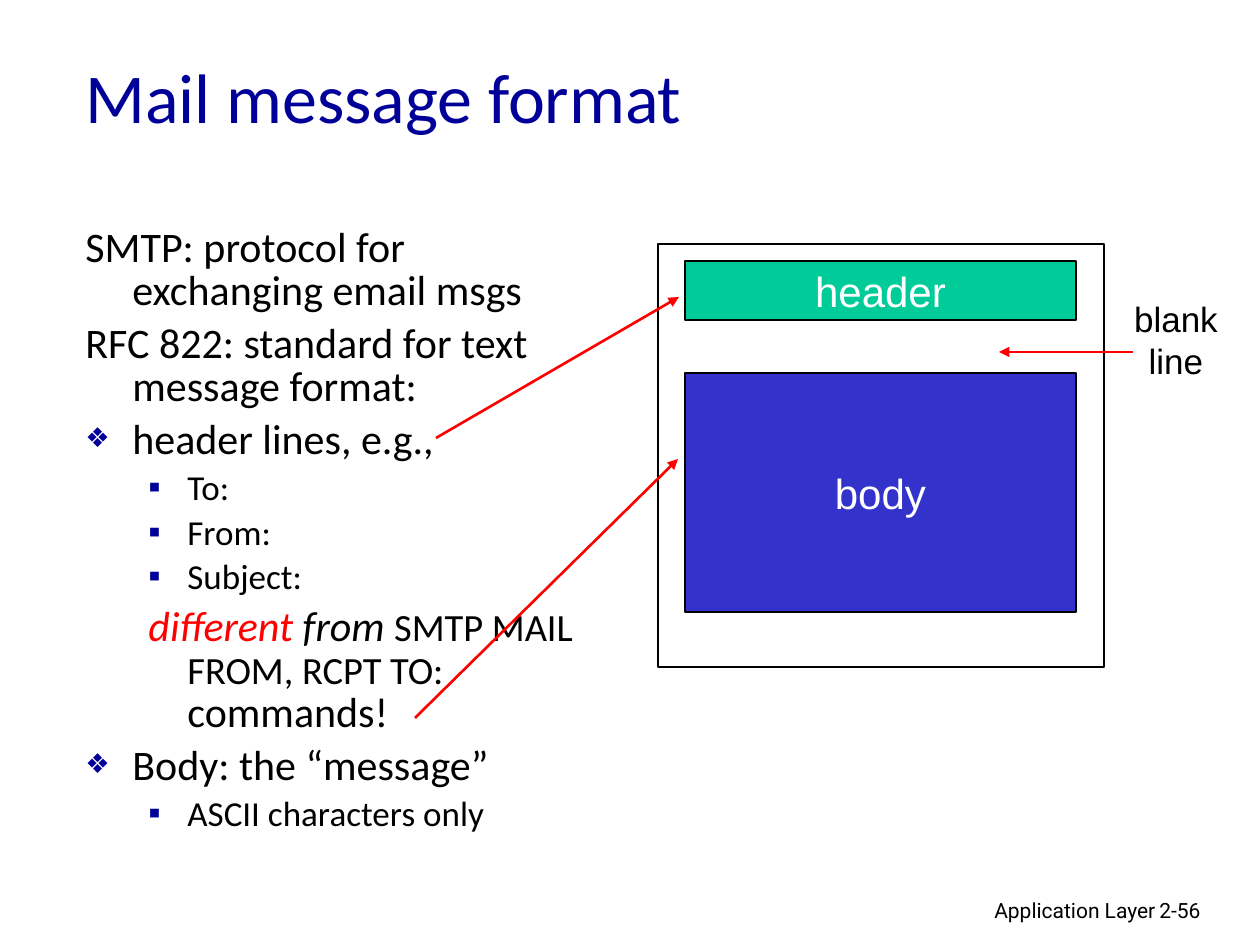
from lxml.etree import SubElement
from pptx import Presentation
from pptx.dml.color import RGBColor
from pptx.enum.shapes import MSO_CONNECTOR, MSO_SHAPE
from pptx.enum.text import MSO_ANCHOR, MSO_AUTO_SIZE, PP_ALIGN
from pptx.oxml.ns import qn
from pptx.util import Pt

EMU_PER_PX = 914400 / 126
BLACK, WHITE, RED, NAVY = "000000", "FFFFFF", "FF0000", "000099"
TOPIC = dict(size=24, margin=47, indent=-47, before=6)
BULLET = dict(TOPIC, bullet="❖", bullet_size=65)
ITEM = dict(size=20, margin=102, indent=-39, before=5, level=1, bullet="▪")
NOTE = dict(ITEM, size=24, before=6, bullet=None)
OUTLINE = [
    ("SMTP: protocol for exchanging email msgs", TOPIC),
    ("RFC 822: standard for text message format:", TOPIC),
    ("header lines, e.g.,", BULLET),
    ("To:", ITEM),
    ("From:", ITEM),
    ("Subject:", ITEM),
    ([("different ", 24, RED, True), ("from ", 24, BLACK, True),
      ("SMTP MAIL FROM, RCPT TO:", 22, BLACK, False),
      (" commands!", 24, BLACK, False)], NOTE),
    ("Body: the “message”", BULLET),
    ("ASCII characters only", ITEM),
]


def px(n):
    """Turn pixels into EMU."""
    return round(n * EMU_PER_PX)


def rgb(color):
    """Turn a hex string into a colour."""
    return RGBColor.from_string(color)


def style(r, size, font, color, italic=False):
    """Format one run."""
    r.font.size = Pt(size)
    r.font.name = font
    r.font.italic = italic
    r.font.color.rgb = rgb(color)


def fill_text(tf, text, size, font, color, align=PP_ALIGN.LEFT):
    """Write text in one style, a paragraph for each line."""
    tf.text = text
    for p in tf.paragraphs:
        p.alignment = align
        for r in p.runs:
            style(r, size, font, color)


def add_text(s, box, text, size, font, color, align=PP_ALIGN.LEFT,
             anchor=MSO_ANCHOR.TOP, grow=False):
    """Add a text box in one style, growing instead of wrapping if asked."""
    tf = s.shapes.add_textbox(*map(px, box)).text_frame
    tf.word_wrap = not grow
    if grow:
        tf.auto_size = MSO_AUTO_SIZE.SHAPE_TO_FIT_TEXT
    tf.vertical_anchor = anchor
    fill_text(tf, text, size, font, color, align)


def add_bullet(p, char, size):
    """Give a paragraph a coloured bullet."""
    pPr = p._p.get_or_add_pPr()
    SubElement(SubElement(pPr, qn("a:buClr")), qn("a:srgbClr"), val=NAVY)
    SubElement(pPr, qn("a:buSzPct"), val=str(size * 1000))
    SubElement(pPr, qn("a:buFont"), typeface="Arial")
    SubElement(pPr, qn("a:buChar"), char=char)


def add_outline(s, box, rows):
    """Add the bulleted text."""
    tf = s.shapes.add_textbox(*map(px, box)).text_frame
    tf.word_wrap = True
    for i, (text, kind) in enumerate(rows):
        p = tf.add_paragraph() if i else tf.paragraphs[0]
        p.level = kind.get("level", 0)
        p.line_spacing = 0.85
        p.space_before = Pt(kind["before"] if i else 0)
        pPr = p._p.get_or_add_pPr()
        pPr.set("marL", str(px(kind["margin"])))
        pPr.set("indent", str(px(kind["indent"])))
        if kind.get("bullet"):
            add_bullet(p, kind["bullet"], kind.get("bullet_size", 100))
        runs = [(text, kind["size"], BLACK, False)] if isinstance(text, str) else text
        for words, size, color, italic in runs:
            r = p.add_run()
            r.text = words
            style(r, size, "Calibri", color, italic)


def add_box(s, box, width, fill=None, text=None):
    """Add a rectangle, with a fill and a label if given."""
    sp = s.shapes.add_shape(MSO_SHAPE.RECTANGLE, *map(px, box))
    sp.shadow.inherit = False
    sp.line.color.rgb = rgb(BLACK)
    sp.line.width = Pt(width)
    if fill:
        sp.fill.solid()
        sp.fill.fore_color.rgb = rgb(fill)
    else:
        sp.fill.background()
    if text:
        tf = sp.text_frame
        tf.word_wrap = False
        tf.vertical_anchor = MSO_ANCHOR.MIDDLE
        fill_text(tf, text, 24, "Arial", WHITE, PP_ALIGN.CENTER)


def add_arrow(s, ends):
    """Add a red arrow from the first point to the second."""
    c = s.shapes.add_connector(MSO_CONNECTOR.STRAIGHT, *map(px, ends))
    c.line.color.rgb = rgb(RED)
    c.line.width = Pt(1.5)
    SubElement(c.line._get_or_add_ln(), qn("a:tailEnd"), type="triangle")
    SubElement(c._element.spPr, qn("a:effectLst"))


def main():
    """Build the slide and save it."""
    prs = Presentation()
    prs.slide_width, prs.slide_height = px(1260), px(945)
    s = prs.slides.add_slide(prs.slide_layouts[6])
    add_text(s, (769, 891, 399, 39), "Application Layer", 12, "Roboto", BLACK,
             PP_ALIGN.RIGHT)
    add_text(s, (1147, 891, 93, 38), "2-56", 12, "Roboto", BLACK)
    add_text(s, (73, 16, 1071, 158), "Mail message format", 40, "Calibri", NAVY,
             anchor=MSO_ANCHOR.MIDDLE)
    add_outline(s, (73, 222, 525, 640), OUTLINE)
    add_box(s, (685, 261, 391, 59), 0.75, "00CC99", "header")
    add_box(s, (685, 373, 391, 239), 0.75, "3333CC", "body")
    add_box(s, (658, 244, 446, 423), 1)
    add_arrow(s, (436, 438, 679, 297))
    add_arrow(s, (415, 718, 678, 459))
    add_text(s, (1119, 291, 114, 97), "blank\nline", 20, "Arial", BLACK,
             PP_ALIGN.CENTER, grow=True)
    add_arrow(s, (1133, 352, 999, 352))
    prs.save("out.pptx")


if __name__ == "__main__":
    main()
